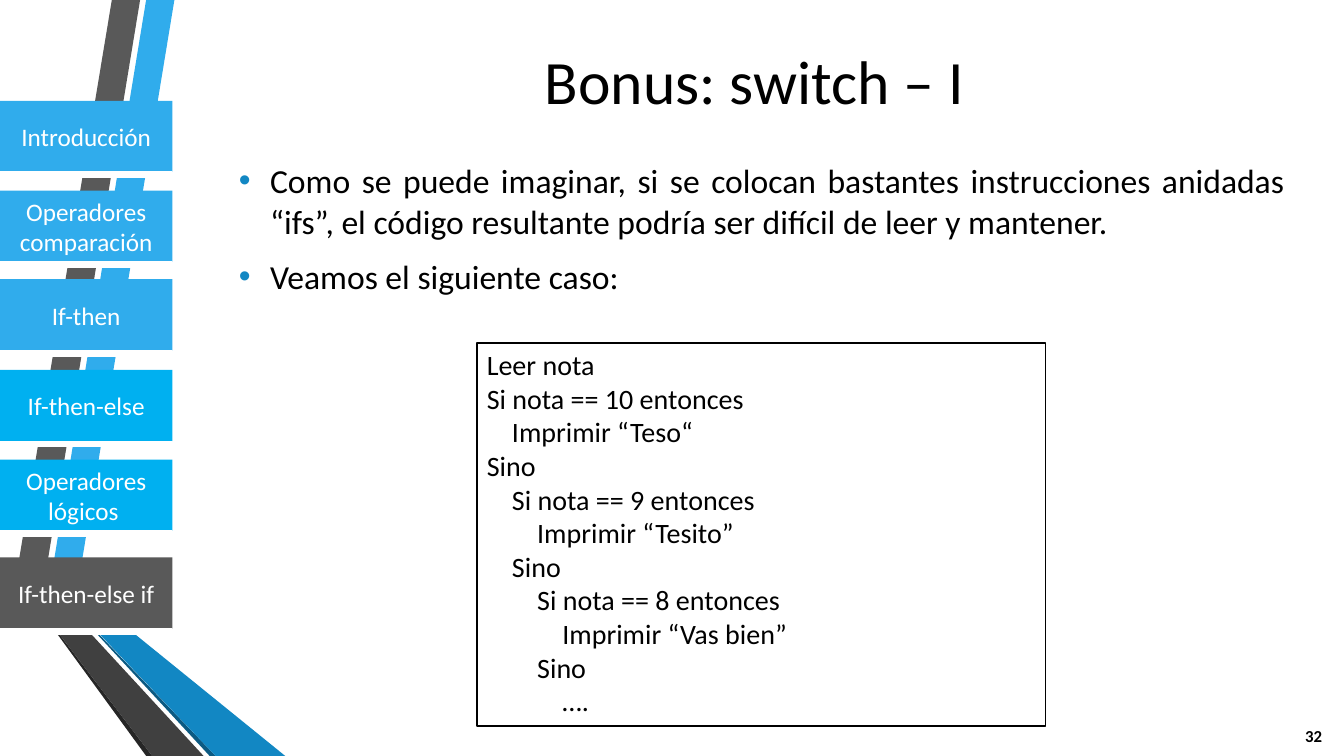
import lxml.etree
import pptx
import pptx.dml.color
import pptx.enum.shapes
import pptx.enum.text
import pptx.oxml.ns
import pptx.util

Inches = pptx.util.Inches
Pt = pptx.util.Pt
ALIGN = pptx.enum.text.PP_ALIGN
ANCHOR = pptx.enum.text.MSO_ANCHOR

RIBBONS = [
    ("30ACEC", [(0.5, 5.78), (0.77, 5.83), (1.73, 0), (1.45, 0)]),
    ("595959", [(1.39, 0), (1.11, 0), (0.16, 5.73), (0.44, 5.77)]),
    ("262626", [(0.16, 5.73), (1.45, 7.5), (1.51, 7.5)]),
    ("0C5A82", [(0.5, 5.79), (2.08, 7.5), (2.14, 7.5)]),
    ("1287C3", [(0.5, 5.78), (2.14, 7.5), (2.83, 7.5), (0.77, 5.83)]),
    ("404040", [(0.16, 5.73), (1.51, 7.5), (2.02, 7.5), (0.48, 5.83), (0.43, 5.77)]),
]
SECTIONS = [
    (1, "30ACEC", ["Introducción"]),
    (1.89, "30ACEC", ["Operadores", "comparación"]),
    (2.77, "30ACEC", ["If-then"]),
    (3.67, "00B0F0", ["If-then-else"]),
    (4.56, "00B0F0", ["Operadores lógicos "]),
    (5.53, "595959", ["If-then-else if"]),
]
POINTS = [
    "Como se puede imaginar, si se colocan bastantes instrucciones anidadas “ifs”, "
    "el código resultante podría ser difícil de leer y mantener.",
    "Veamos el siguiente caso:",
]
CODE = [
    (0, "Leer nota"),
    (0, "Si nota == 10 entonces"),
    (1, "Imprimir “Teso“"),
    (0, "Sino"),
    (1, "Si nota == 9 entonces"),
    (2, "Imprimir “Tesito”"),
    (1, "Sino"),
    (2, "Si nota == 8 entonces"),
    (3, "Imprimir “Vas bien”"),
    (2, "Sino"),
    (3, "…."),
]


def rgb(color):
    return pptx.dml.color.RGBColor.from_string(color)


def apply(target, values):
    for name, value in values.items():
        setattr(target, name, value)


def paint(shape, fill, line=None, width=1.25):
    shape.shadow.inherit = False
    shape.fill.solid()
    shape.fill.fore_color.rgb = rgb(fill)
    if line:
        shape.line.color.rgb = rgb(line)
        shape.line.width = Pt(width)
    else:
        shape.line.fill.background()


def add_rect(slide, box, fill, line=None):
    rect = slide.shapes.add_shape(
        pptx.enum.shapes.MSO_SHAPE.RECTANGLE, *map(Inches, box))
    paint(rect, fill, line)
    return rect


def add_textbox(slide, box):
    return slide.shapes.add_textbox(*map(Inches, box))


def write(shape, lines, size, color="000000", anchor=ANCHOR.TOP, bold=False, **layout):
    frame = shape.text_frame
    apply(frame, {"word_wrap": True, "vertical_anchor": anchor})
    frame.text = "\n".join(lines)
    for paragraph in frame.paragraphs:
        apply(paragraph, layout)
        font = paragraph.runs[0].font
        apply(font, {"name": "Calibri", "size": Pt(size), "bold": bold})
        font.color.rgb = rgb(color)
    return frame.paragraphs


def indent(paragraph, left, first=0):
    properties = paragraph._p.get_or_add_pPr()
    properties.set("marL", str(Inches(left)))
    properties.set("indent", str(Inches(first)))
    return properties


def add_bullet(paragraph, color):
    properties = indent(paragraph, 0.31, -0.31)
    qn = pptx.oxml.ns.qn
    bullet_color = lxml.etree.SubElement(properties, qn("a:buClr"))
    lxml.etree.SubElement(bullet_color, qn("a:srgbClr"), val=color)
    lxml.etree.SubElement(properties, qn("a:buFont"), typeface="Arial")
    lxml.etree.SubElement(properties, qn("a:buChar"), char="•")


def draw_ribbons(slide, left, top):
    for color, corners in RIBBONS:
        points = [(Inches(left + x), Inches(top + y)) for x, y in corners]
        outline = slide.shapes.build_freeform(*points[0])
        outline.add_line_segments(points[1:], close=True)
        paint(outline.convert_to_shape(), color)


def draw_navigation(slide, left, width, height):
    for top, color, lines in SECTIONS:
        section = add_rect(slide, (left, top, width, height), color)
        write(section, lines, 18, "FFFFFF", ANCHOR.MIDDLE, alignment=ALIGN.CENTER)
        add_rect(slide, (left, top + height, width, 0.05), "FFFFFF", "FFFFFF")


def draw_title(slide, box):
    write(add_textbox(slide, box), ["Bonus: switch – I "], 44,
          anchor=ANCHOR.MIDDLE, alignment=ALIGN.CENTER)


def draw_points(slide, box):
    points = write(add_textbox(slide, box), POINTS, 24, alignment=ALIGN.JUSTIFY,
                   space_before=Pt(4.8), space_after=Pt(6))
    for point in points:
        add_bullet(point, "1287C3")


def draw_code(slide, box):
    listing = add_rect(slide, box, "FFFFFF", "000000")
    lines = write(listing, [text for _, text in CODE], 20, alignment=ALIGN.LEFT)
    for line, (level, _) in zip(lines, CODE):
        indent(line, 0.25 * level)


def draw_page_number(slide, box):
    write(add_textbox(slide, box), ["32"], 12, anchor=ANCHOR.MIDDLE, bold=True,
          alignment=ALIGN.CENTER)


def main():
    deck = pptx.Presentation()
    apply(deck, {"slide_width": Inches(13.33), "slide_height": Inches(7.5)})
    slide = deck.slides.add_slide(deck.slide_layouts[6])
    draw_ribbons(slide, 0, 0)
    draw_navigation(slide, 0, 1.71, 0.71)
    draw_title(slide, (2.27, 0.24, 10.57, 1.11))
    draw_points(slide, (2.27, 1.54, 10.57, 5.1))
    draw_page_number(slide, (12.73, 7.1, 0.6, 0.4))
    draw_code(slide, (4.73, 3.4, 5.64, 3.8))
    deck.save("out.pptx")


if __name__ == "__main__":
    main()
